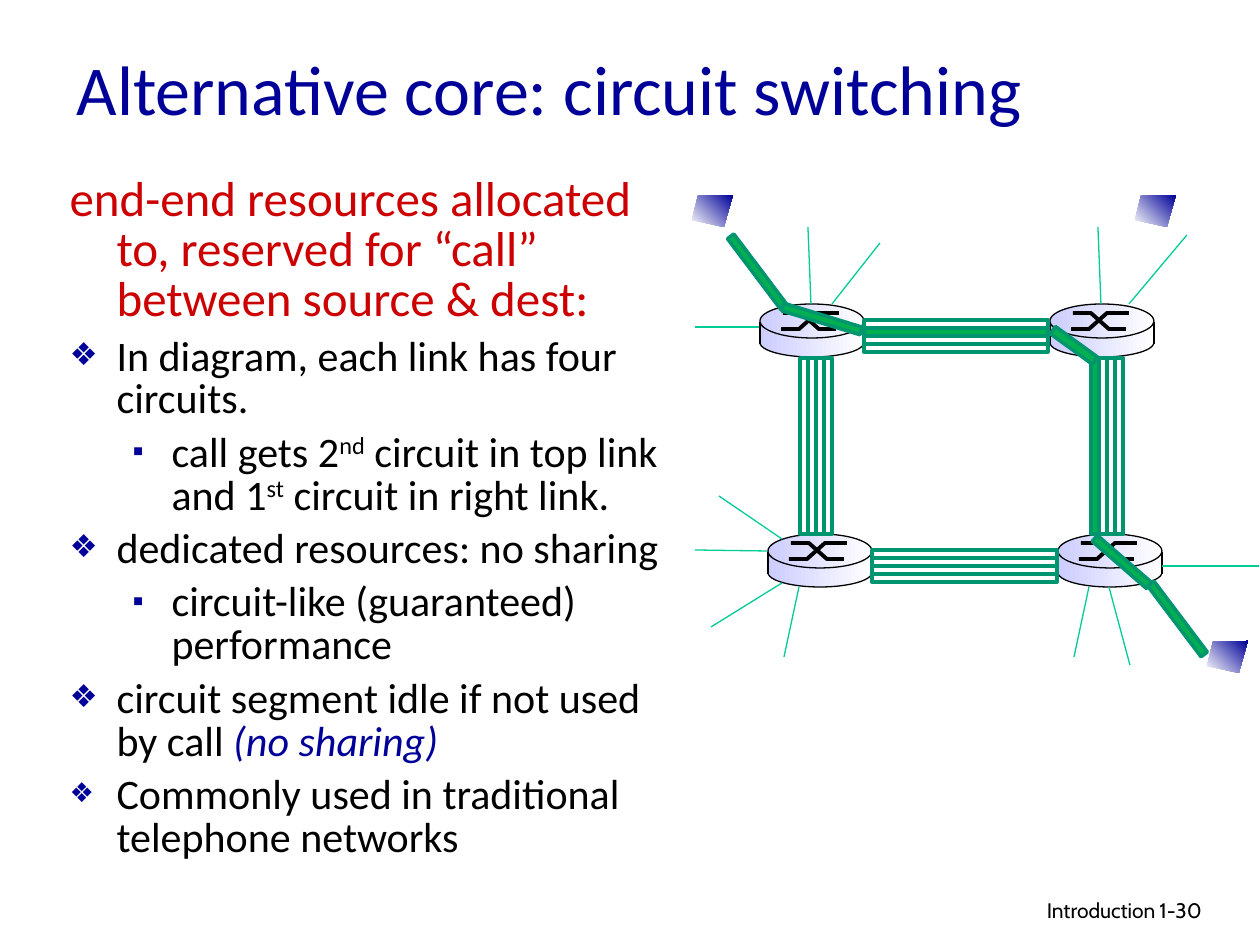
"""Build the slide on circuit switching, with its network of four routers."""
from lxml.etree import SubElement as Sub
from pptx import Presentation
from pptx.dml.color import RGBColor
from pptx.enum.shapes import MSO_CONNECTOR as Conn, MSO_SHAPE as Kind
from pptx.enum.text import MSO_ANCHOR as Anchor, MSO_AUTO_SIZE as Auto, PP_ALIGN as Align
from pptx.oxml.ns import qn
from pptx.util import Inches, Pt

PX = 7257
BLACK = RGBColor(0, 0, 0)
WHITE = RGBColor(255, 255, 255)
NAVY = RGBColor(0, 0, 0x99)
RED = RGBColor(0xCC, 0, 0)
LILAC = RGBColor(0xCC, 0xCC, 0xFF)
TEAL = RGBColor(0, 0x95, 0x6F)
GREEN = RGBColor(0, 0xB0, 0x50)
MINT = RGBColor(0, 0xCC, 0x98)


def paint(shape, fill=None, ink=None, width=0.75, slant=None):
    shape.shadow.inherit = False
    if fill is None:
        shape.fill.background()
    elif slant is None:
        shape.fill.solid()
        shape.fill.fore_color.rgb = fill
    else:
        shape.fill.gradient()
        shape.fill.gradient_angle = slant
        for stop, color in zip(shape.fill.gradient_stops, (WHITE, fill)):
            stop.color.rgb = color
    if ink is None:
        shape.line.fill.background()
    else:
        shape.line.color.rgb = ink
        shape.line.width = Pt(width)


def wire(ends, ink):
    line = shapes.add_connector(Conn.STRAIGHT, *(v * PX for v in ends))
    line.line.color.rgb = ink
    line.line.width = Pt(0.75)
    Sub(line._element.spPr, qn("a:effectLst"))


deck = Presentation()
deck.slide_width, deck.slide_height = Inches(10), Inches(7.5)
slide = deck.slides.add_slide(deck.slide_layouts[1])
shapes = slide.shapes

title, body = slide.placeholders
for holder, spot in ((title, (64, 38, 1071, 100)), (body, (57, 170, 615, 640))):
    holder.left, holder.top, holder.width, holder.height = (v * PX for v in spot)
    holder.text_frame.auto_size = Auto.NONE
    holder.text_frame.word_wrap = True

title.text_frame.text = "Alternative core: circuit switching"
title.text_frame.vertical_anchor = Anchor.MIDDLE
head = title.text_frame.paragraphs[0]
head.alignment = Align.LEFT
head.font.name, head.font.size = "Calibri", Pt(40)
head.font.color.rgb = NAVY

items = [
    (0, None, 0, ["end-end resources allocated to, reserved for “call” between source & dest:"]),
    (0, "❖", 75, ["In diagram, each link has four circuits."]),
    (1, "▪", 75, ["call gets 2", "nd", " circuit in top link and 1", "st",
                  " circuit in right link."]),
    (0, "❖", 75, ["dedicated resources: no sharing"]),
    (1, "▪", 75, ["circuit-like (guaranteed) performance"]),
    (0, "❖", 75, ["circuit segment idle if not used by call ", "(no sharing)"]),
    (0, "❖", 65, ["Commonly used in traditional telephone networks"]),
]
frame = body.text_frame
for i, (level, mark, size, texts) in enumerate(items):
    para = frame.add_paragraph() if i else frame.paragraphs[0]
    para.level = level
    para.line_spacing = 0.85
    para.space_before = Pt(6 if i else 0)
    props = para._p.get_or_add_pPr()
    props.set("marL", str((102 if level else 47) * PX))
    props.set("indent", str((-39 if level else -47) * PX))
    if mark:
        Sub(Sub(props, qn("a:buClr")), qn("a:srgbClr"), val=str(NAVY))
        Sub(props, qn("a:buSzPct"), val=str(size * 1000))
        Sub(props, qn("a:buChar"), char=mark)
    else:
        Sub(props, qn("a:buNone"))
    para.font.name, para.font.size = "Calibri", Pt(24 if mark else 28)
    para.font.color.rgb = BLACK if mark else RED
    for text in texts:
        run = para.add_run()
        run.text = text
        if text in ("nd", "st"):
            run._r.get_or_add_rPr().set("baseline", "30000")
        elif text == "(no sharing)":
            run.font.italic = True
            run.font.color.rgb = NAVY

for text, x, width, align in (("Introduction", 769, 399, Align.RIGHT),
                              ("1-30", 1147, 93, Align.LEFT)):
    box = shapes.add_textbox(x * PX, 891 * PX, width * PX, 38 * PX)
    box.text_frame.word_wrap = True
    box.text_frame.text = text
    foot = box.text_frame.paragraphs[0]
    foot.alignment = align
    foot.font.name, foot.font.size = "Cabin", Pt(12)
    foot.font.color.rgb = BLACK

for x, y in ((692, 195), (1135, 195), (1207, 641)):
    pen = shapes.build_freeform(x + 41, y, scale=PX)
    pen.add_line_segments([(x + 6, y + 1), (x, y + 25), (x + 32, y + 32)])
    paint(pen.convert_to_shape(), NAVY, slant=45)

for x, y in ((760, 304), (1050, 304), (768, 534), (1058, 534)):
    for kind, down, tall, ink in ((Kind.OVAL, 24, 29, BLACK),
                                  (Kind.RECTANGLE, 21, 18, None),
                                  (Kind.OVAL, 0, 34, BLACK)):
        part = shapes.add_shape(kind, x * PX, (y + down) * PX, 104 * PX, tall * PX)
        paint(part, LILAC, ink, slant=180)
    for track in (((21, 25), (39, 25), (57, 9), (79, 9)),
                  ((23, 9), (41, 9), (59, 25), (76, 25))):
        dots = [(x + dx, y + dy) for dx, dy in track]
        pen = shapes.build_freeform(*dots[0], scale=PX)
        pen.add_line_segments(dots[1:], close=False)
        paint(pen.convert_to_shape(), None, BLACK, 2.25)
    for side in (x, x + 104):
        wire((side, y + 18, side, y + 40), BLACK)

links = [
    (864, 320, 184, 8, 0, 8, 1),
    (872, 550, 185, 8, 0, 8, None),
    (800, 358, 8, 176, 8, 0, None),
    (1091, 358, 8, 176, 8, 0, 0),
]
for x, y, width, tall, dx, dy, used in links:
    for i in range(4):
        lane = shapes.add_shape(Kind.RECTANGLE, (x + i * dx) * PX, (y + i * dy) * PX,
                                width * PX, tall * PX)
        paint(lane, GREEN if i == used else None, TEAL, 2)

spokes = [
    (808, 227, 811, 304), (880, 243, 832, 304), (695, 327, 759, 327),
    (695, 550, 767, 551), (719, 496, 782, 539), (711, 627, 782, 583),
    (784, 657, 799, 587), (1259, 566, 1162, 566), (1130, 665, 1109, 587),
    (1074, 657, 1089, 587), (1098, 227, 1101, 304), (1187, 235, 1129, 304),
]
for spoke in spokes:
    wire(spoke, MINT)

call = [
    (713, 268, 89, 8, 53), (1133, 615, 89, 8, 53), (781, 315, 82, 8, 17),
    (1086, 558, 72, 8, 41), (1048, 341, 52, 9, 36),
]
for *spot, turn in call:
    bar = shapes.add_shape(Kind.RECTANGLE, *(v * PX for v in spot))
    bar.rotation = turn
    paint(bar, GREEN, TEAL, 2)

deck.save("out.pptx")
